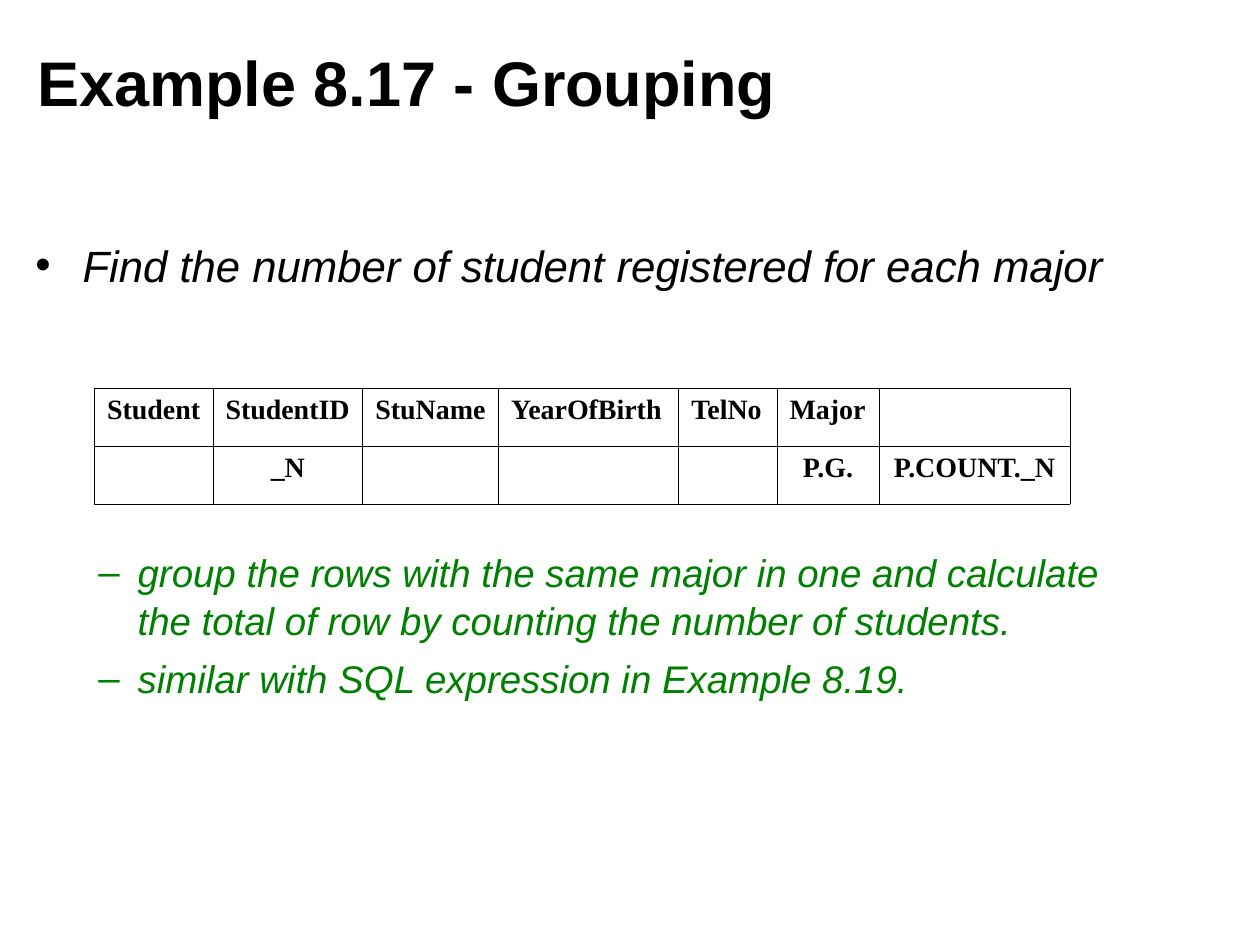
from lxml import etree
from pptx import Presentation
from pptx.dml.color import RGBColor
from pptx.enum import text
from pptx.oxml import ns
from pptx.util import Pt

BLACK = "000000"
GREEN = "008000"
COLUMNS = [67.7, 85.7, 77.7, 103, 56.2, 58.3, 109.2]
QUERY = [
    ["Student", "StudentID", "StuName", "YearOfBirth", "TelNo", "Major", ""],
    ["", "_N", "", "", "", "P.G.", "P.COUNT._N"],
]
ALIGNMENTS = [text.PP_ALIGN.JUSTIFY, text.PP_ALIGN.CENTER]


def color(value):
    return RGBColor.from_string(value)


def add_element(parent, tag, **attributes):
    return etree.SubElement(parent, ns.qn(tag), attributes)


def add_run(paragraph, words, size, hue=BLACK, font="Arial", bold=False, italic=False):
    run = paragraph.add_run()
    run.text = words
    run.font.name = font
    run.font.size = Pt(size)
    run.font.bold = bold
    run.font.italic = italic
    run.font.color.rgb = color(hue)


def add_frame(slide, left, top, width, height, inset):
    frame = slide.shapes.add_textbox(Pt(left), Pt(top), Pt(width), Pt(height)).text_frame
    frame.word_wrap = True
    frame.margin_left = frame.margin_right = Pt(inset)
    return frame


def set_bullet(paragraph, mark, hue, margin, hang):
    properties = paragraph._p.get_or_add_pPr()
    properties.set("marL", str(Pt(margin)))
    properties.set("indent", str(-Pt(hang)))
    add_element(add_element(properties, "a:buClr"), "a:srgbClr", val=hue)
    add_element(properties, "a:buFont", typeface="Arial")
    add_element(properties, "a:buChar", char=mark)


def add_title(slide, left, top, width, height):
    frame = add_frame(slide, left, top, width, height, 4.8)
    frame.vertical_anchor = text.MSO_ANCHOR.MIDDLE
    add_run(frame.paragraphs[0], "Example 8.17 - Grouping", 36, bold=True)


def add_body(slide, left, top, width, height):
    frame = add_frame(slide, left, top, width, height, 6.5)
    task = frame.paragraphs[0]
    set_bullet(task, "•", BLACK, 27, 27)
    task.line_spacing = 1.04
    add_run(task, "Find the number of student registered for each major", 25, italic=True)
    notes = [
        ("group the rows with the same major in one and calculate the total of row "
         "by counting the number of students.", 146.5),
        ("similar with SQL expression in Example 8.19.", 5.5),
    ]
    for words, gap in notes:
        note = frame.add_paragraph()
        set_bullet(note, "–", GREEN, 58.5, 22.5)
        note.level = 1
        note.line_spacing = 1.04
        note.space_before = Pt(gap)
        add_run(note, words, 22, GREEN, italic=True)


def set_borders(cell):
    properties = cell._tc.get_or_add_tcPr()
    for side in ("a:lnL", "a:lnR", "a:lnT", "a:lnB"):
        line = add_element(properties, side, w=str(Pt(0.45)))
        add_element(add_element(line, "a:solidFill"), "a:srgbClr", val=BLACK)


def add_query(slide, left, top, width, height):
    frame = slide.shapes.add_table(
        len(QUERY), len(COLUMNS), Pt(left), Pt(top), Pt(width), Pt(height))
    table = frame.table
    table.first_row = table.horz_banding = False
    for column, share in zip(table.columns, COLUMNS):
        column.width = Pt(width * share / sum(COLUMNS))
    for r, (entries, alignment) in enumerate(zip(QUERY, ALIGNMENTS)):
        for c, words in enumerate(entries):
            cell = table.cell(r, c)
            set_borders(cell)
            cell.fill.background()
            paragraph = cell.text_frame.paragraphs[0]
            paragraph.alignment = alignment
            if words:
                add_run(paragraph, words, 16, font="Times New Roman", bold=True)


def main():
    deck = Presentation()
    deck.slide_width, deck.slide_height = Pt(720), Pt(540)
    slide = deck.slides.add_slide(deck.slide_layouts[6])
    add_title(slide, 16.5, 13, 578, 67)
    add_body(slide, 13.7, 131.5, 640, 347)
    add_query(slide, 54, 221.8, 557.5, 66.3)
    deck.save("out.pptx")


if __name__ == "__main__":
    main()
